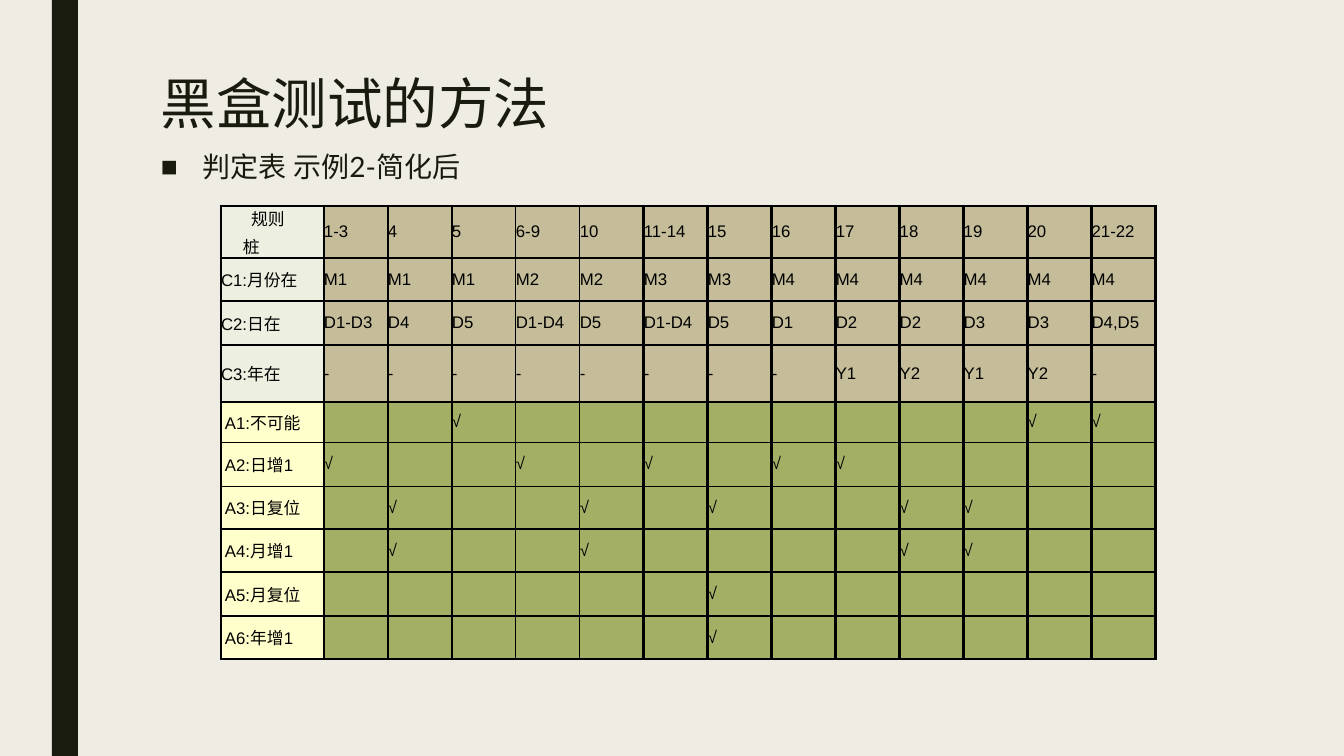
from lxml.etree import SubElement as Sub
from pptx import Presentation
from pptx.dml.color import RGBColor as Rgb
from pptx.enum.shapes import MSO_SHAPE as Kind
from pptx.enum.text import MSO_ANCHOR as Anchor
from pptx.oxml.ns import qn
from pptx.util import Pt

SCALE = 914400 / 100.8
HUES = {"paper": "EFEDE3", "ink": "191B0E", "line": "000000", "head": "EDEFE0",
        "rule": "C5BD99", "act": "FFFFCC", "mark": "A3AF65"}
HEADS = "1-3 4 5 6-9 10 11-14 15 16 17 18 19 20 21-22".split()
CONDS = {
    "C1:月份在": "M1 M1 M1 M2 M2 M3 M3 M4 M4 M4 M4 M4 M4",
    "C2:日在": "D1-D3 D4 D5 D1-D4 D5 D1-D4 D5 D1 D2 D2 D3 D3 D4,D5",
    "C3:年在": "- - - - - - - - Y1 Y2 Y1 Y2 -",
}
ACTS = {
    "A1:不可能": (3, 12, 13),
    "A2:日增1": (1, 4, 6, 8, 9),
    "A3:日复位": (2, 5, 7, 10, 11),
    "A4:月增1": (2, 5, 10, 11),
    "A5:月复位": (7,),
    "A6:年增1": (7,),
}
ROWS = (52, 43, 44, 57, 39, 44, 43, 43, 44, 43)
COLS = (103,) + (64,) * len(HEADS)


def px(num):
    """Turn pixels into EMU."""
    return round(num * SCALE)


def paint(part, hue):
    """Fill a shape, cell or background with a named colour."""
    part.fill.solid()
    part.fill.fore_color.rgb = Rgb.from_string(HUES[hue])


def write(para, text, size=12, face="Arial", hue="line", lead=None, gap=0, left=0, mark=None):
    """Put formatted text into a paragraph."""
    props = para._p.get_or_add_pPr()
    if left:
        props.set("marL", str(px(left)))
    if mark:
        props.set("indent", str(-px(left)))
        Sub(props, qn("a:buFont"), typeface="Arial")
        Sub(props, qn("a:buChar"), char=mark)
    para.line_spacing = lead
    para.space_before = Pt(gap)
    run = para.add_run()
    run.text = text
    run.font.size = Pt(size)
    run.font.name = face
    run.font.color.rgb = Rgb.from_string(HUES[hue])


def label(slide, spot, text, anchor, **form):
    """Add a wrapped text box."""
    frame = slide.shapes.add_textbox(*map(px, spot)).text_frame
    frame.word_wrap = True
    frame.vertical_anchor = anchor
    write(frame.paragraphs[0], text, face="Lato", hue="ink", **form)


def edge(cell, row, col):
    """Draw the four borders of a cell."""
    thick = {"L": col == 0 or col > 5, "R": col > 4,
             "T": row == 0, "B": row == len(ROWS) - 1}
    props = cell._tc.get_or_add_tcPr()
    for side, bold in thick.items():
        line = Sub(props, qn(f"a:ln{side}"), w=str(Pt(2.25 if bold else 1)))
        fill = Sub(line, qn("a:solidFill"))
        Sub(fill, qn("a:srgbClr"), val=HUES["line"])


def fill(cell, row, col, text):
    """Style one cell and write its text."""
    cond = row <= len(CONDS)
    edge(cell, row, col)
    paint(cell, ("head" if cond else "act") if col == 0 else ("rule" if cond else "mark"))
    cell.vertical_anchor = Anchor.MIDDLE
    cell.margin_left = px(0 if col or cond else 4)
    cell.margin_right = 0
    cell.margin_top = cell.margin_bottom = px(0 if col == 0 and cond else 5)
    if text:
        write(cell.text_frame.paragraphs[0], text, left=0 if row or col else 30)


def grid(slide):
    """Build the decision table."""
    data = [["规则", *HEADS]]
    data += [[name, *vals.split()] for name, vals in CONDS.items()]
    data += [[name, *("√" if col in hits else "" for col in range(1, len(COLS)))]
             for name, hits in ACTS.items()]
    spot = map(px, (221, 206, sum(COLS), sum(ROWS)))
    table = slide.shapes.add_table(len(ROWS), len(COLS), *spot).table
    table.first_row = table.horz_banding = False
    for col, wide in zip(table.columns, COLS):
        col.width = px(wide)
    for row, high in zip(table.rows, ROWS):
        row.height = px(high)
    for row, vals in enumerate(data):
        for col, text in enumerate(vals):
            fill(table.cell(row, col), row, col, text)
    write(table.cell(0, 0).text_frame.add_paragraph(), "桩", gap=2.4, left=22)


def main():
    """Build and save the slide."""
    deck = Presentation()
    deck.slide_width, deck.slide_height = px(1344), px(756)
    slide = deck.slides.add_slide(deck.slide_layouts[6])
    paint(slide.background, "paper")
    bar = slide.shapes.add_shape(Kind.RECTANGLE, *map(px, (52, 0, 26, 756)))
    bar.shadow.inherit = False
    bar.line.fill.background()
    paint(bar, "ink")
    label(slide, (151, 76, 1058, 62), "黑盒测试的方法", Anchor.MIDDLE, size=39.6, lead=0.89)
    label(slide, (151, 147, 1058, 553), "判定表 示例2-简化后", Anchor.TOP,
          size=20, lead=0.94, left=42, mark="■")
    grid(slide)
    deck.save("out.pptx")


if __name__ == "__main__":
    main()
